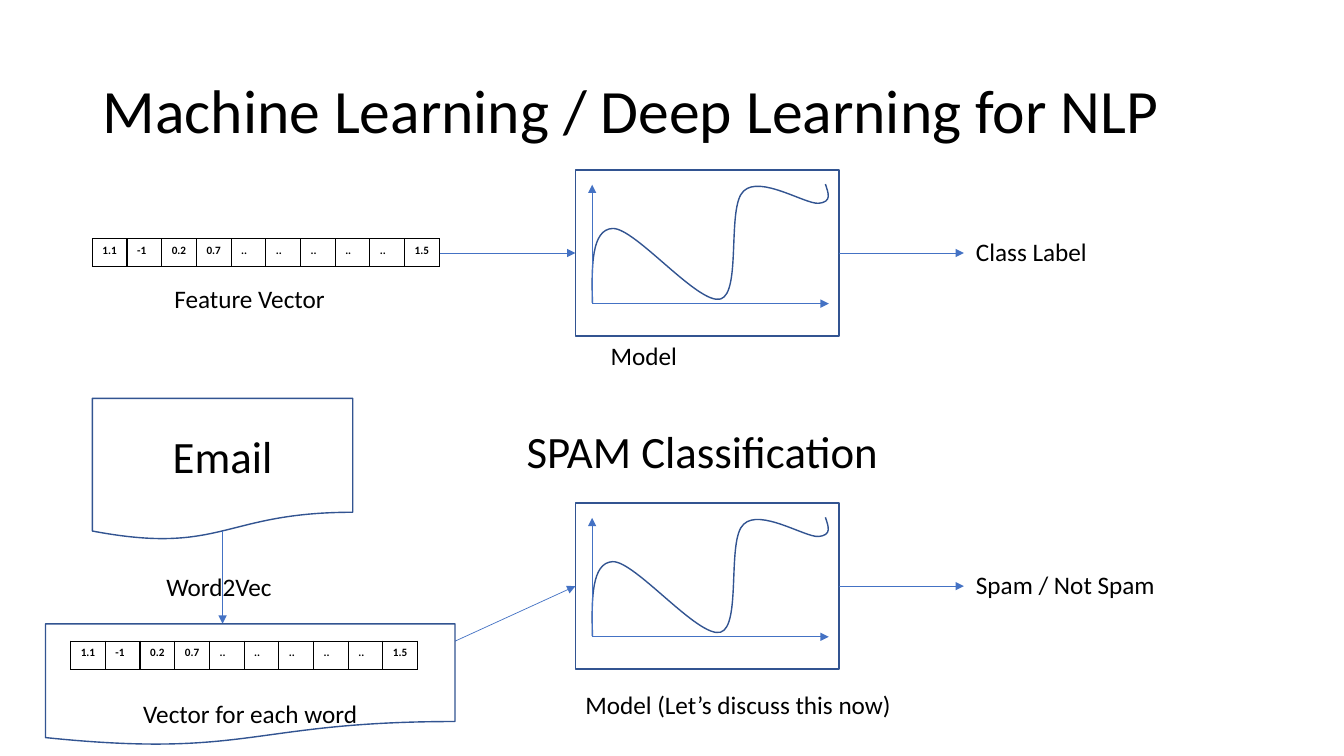
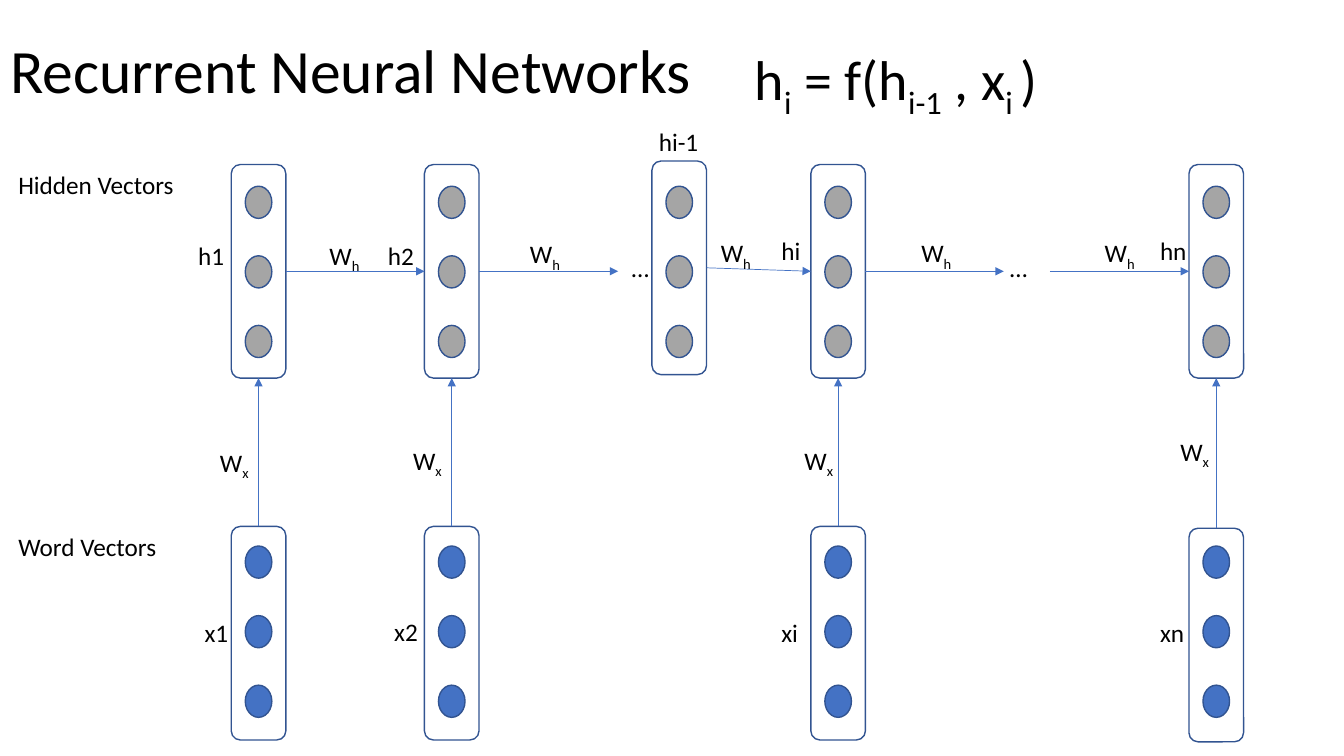
"""Build two slides on machine learning for language and recurrent networks."""
from lxml import etree
from pptx import Presentation
from pptx.dml.color import RGBColor
from pptx.enum.shapes import MSO_CONNECTOR, MSO_SHAPE
from pptx.enum.text import MSO_ANCHOR, PP_ALIGN
from pptx.oxml.ns import qn
from pptx.util import Pt

COLORS = {"ink": "000000", "outline": "325491", "word": "4472C4", "hidden": "A5A5A5"}
FONT = "Calibri"
RECT, ROUND, OVAL = MSO_SHAPE.RECTANGLE, MSO_SHAPE.ROUNDED_RECTANGLE, MSO_SHAPE.OVAL
DOCUMENT = MSO_SHAPE.FLOWCHART_DOCUMENT
STRAIGHT = MSO_CONNECTOR.STRAIGHT
TOP_ANCHOR, MIDDLE = MSO_ANCHOR.TOP, MSO_ANCHOR.MIDDLE
LEFT_ALIGN, CENTER = PP_ALIGN.LEFT, PP_ALIGN.CENTER
TOP, LEFT, BOTTOM, RIGHT = range(4)

VECTOR = ["1.1", "-1", "0.2", "0.7"] + [".."] * 5 + ["1.5"]
CELL_SIZE = (24.8, 20)
GRAPH_SIZE = (188.3, 118.6)
LAYER_SIZE = (39, 152.6)
UNIT_SIZE = (19, 23)
UNIT_PITCH = 49.7
HIDDEN_UNITS_TOP, WORD_UNITS_TOP = 133, 390
CURVE_START = (12.2, 95)
CURVE = [
    [(11.5, 68.4), (11.5, 42.5), (26.6, 41.8)],
    [(42.5, 41), (87.8, 96.5), (103.7, 92.2)],
    [(118.8, 87.8), (108, 25.9), (120.2, 15.1)],
    [(131.8, 3.6), (164.2, 24.5), (173.5, 23.8)],
    [(183.6, 23), (180.7, 16.6), (178.6, 10.1)],
]


def color(name):
    """Return a named colour."""
    return RGBColor.from_string(COLORS[name])


def points(values):
    """Turn numbers into lengths in points."""
    return [Pt(value) for value in values]


def style_font(font, size, bold=False):
    """Apply the shared text style."""
    font.name, font.size, font.bold = FONT, Pt(size), bold
    font.color.rgb = color("ink")


def write(frame, parts, size, align=LEFT_ALIGN):
    """Write runs into the first paragraph, every second one as a subscript."""
    para = frame.paragraphs[0]
    para.alignment = align
    for index, part in enumerate(parts):
        run = para.add_run()
        run.text = part
        style_font(run.font, size)
        if index % 2:
            run._r.get_or_add_rPr().set("baseline", "-25000")
    return para


def add_label(page, box, *parts, size=18, anchor=TOP_ANCHOR):
    """Add a wrapped text box and return its paragraph."""
    frame = page.shapes.add_textbox(*points(box)).text_frame
    frame.word_wrap = True
    frame.vertical_anchor = anchor
    return write(frame, parts, size)


def add_title(page, left, top, text):
    """Add the slide title."""
    para = add_label(page, (left, top, 828, 104.4), text, size=44, anchor=MIDDLE)
    para.line_spacing = 0.9


def outline(shape, fill=None):
    """Give a shape the shared outline and an optional fill."""
    shape.shadow.inherit = False
    shape.line.color.rgb = color("outline")
    shape.line.width = Pt(1)
    if fill:
        shape.fill.solid()
        shape.fill.fore_color.rgb = color(fill)
    else:
        shape.fill.background()


def add_outlined(page, kind, box, fill=None):
    """Add an outlined preset shape."""
    shape = page.shapes.add_shape(kind, *points(box))
    outline(shape, fill)
    return shape


def add_arrow(page, start=(0, 0), end=(0, 0), source=None, target=None):
    """Add an arrow between points, or between (shape, site) joints."""
    arrow = page.shapes.add_connector(STRAIGHT, *points(start + end))
    if source:
        arrow.begin_connect(*source)
    if target:
        arrow.end_connect(*target)
    arrow.line.color.rgb = color("word")
    arrow.line.width = Pt(0.5)
    etree.SubElement(arrow.line._get_or_add_ln(), qn("a:tailEnd"), type="triangle")
    etree.SubElement(arrow._element.spPr, qn("a:effectLst"))


def add_borders(cell):
    """Draw thin borders on all sides of a table cell."""
    properties = cell._tc.get_or_add_tcPr()
    for side in ("lnL", "lnR", "lnT", "lnB"):
        border = etree.SubElement(properties, qn(f"a:{side}"), w=str(Pt(1)))
        fill = etree.SubElement(border, qn("a:solidFill"))
        etree.SubElement(fill, qn("a:srgbClr"), val=COLORS["ink"])


def add_vector(page, left, top):
    """Add a one-row table of vector values."""
    width, height = CELL_SIZE
    box = (left, top, width * len(VECTOR), height)
    table = page.shapes.add_table(1, len(VECTOR), *points(box)).table
    table.first_row = table.horz_banding = False
    table.rows[0].height = Pt(height)
    for index, value in enumerate(VECTOR):
        table.columns[index].width = Pt(width)
        cell = table.cell(0, index)
        add_borders(cell)
        cell.fill.background()
        cell.margin_right = 0
        run = cell.text_frame.paragraphs[0].add_run()
        run.text = value
        style_font(run.font, 8, bold=True)


def add_curve(page, left, top):
    """Draw the function as a chain of cubic curves."""
    def place(corner):
        """Shift a corner to the graph."""
        return Pt(left + corner[0]), Pt(top + corner[1])

    builder = page.shapes.build_freeform(*place(CURVE_START), scale=1.0)
    builder.add_line_segments([place(corners[-1]) for corners in CURVE], close=False)
    shape = builder.convert_to_shape()
    outline(shape)
    segments = list(shape._element.spPr.iter(qn("a:lnTo")))
    for segment, corners in zip(segments, CURVE):
        bend = etree.Element(qn("a:cubicBezTo"))
        for x, y in map(place, corners):
            etree.SubElement(bend, qn("a:pt"), x=str(x - shape.left), y=str(y - shape.top))
        segment.getparent().replace(segment, bend)


def add_model(page, left, top, result):
    """Add a framed function graph with its result, and return the frame."""
    frame = add_outlined(page, RECT, (left, top, *GRAPH_SIZE))
    add_curve(page, left, top)
    origin = (left + 12, top + 95.5)
    add_arrow(page, origin, (left + 12, top + 10.5))
    add_arrow(page, origin, (left + 181, top + 95.5))
    add_arrow(page, end=(left + 277.5, top + GRAPH_SIZE[1] / 2), source=(frame, RIGHT))
    add_label(page, (left + 279, top + 44, 146, 29), result)
    return frame


def add_layer(page, left, top, units_top, fill):
    """Add a rounded column holding three units."""
    layer = add_outlined(page, ROUND, (left, top, *LAYER_SIZE))
    inset = (LAYER_SIZE[0] - UNIT_SIZE[0]) / 2
    for index in range(3):
        unit_box = (left + inset, units_top + index * UNIT_PITCH, *UNIT_SIZE)
        add_outlined(page, OVAL, unit_box, fill)
    return layer


def add_document(page, box, text, size, anchor=MIDDLE):
    """Add a document shape with centred text and return its text frame."""
    frame = add_outlined(page, DOCUMENT, box).text_frame
    frame.word_wrap = True
    frame.vertical_anchor = anchor
    write(frame, [text], size, CENTER)
    return frame


def build_pipeline(page):
    """Show how features become a class label, then the spam example."""
    add_title(page, 66.2, 29, "Machine Learning / Deep Learning for NLP")
    add_vector(page, 66, 170.5)
    add_label(page, (117.5, 199, 196, 29), "Feature Vector")
    general = add_model(page, 411, 121.4, "Class Label")
    add_arrow(page, start=(314, 180.7), target=(general, LEFT))
    add_label(page, (429, 239.5, 151, 30), "Model")

    add_label(page, (369, 299, 348, 46), "SPAM Classification", size=32)
    spam = add_model(page, 411, 359.4, "Spam / Not Spam")
    add_label(page, (411, 489, 260, 29), "Model (Let’s discuss this now)")
    add_document(page, (66, 284.5, 186, 101.5), "Email", 32)
    add_arrow(page, (159, 379.5), (159, 445.5))
    add_label(page, (111.7, 404.5, 96, 29), "Word2Vec")
    add_vector(page, 50.5, 458)
    add_arrow(page, start=(325, 458), target=(spam, LEFT))
    words = add_document(page, (32.5, 445.6, 292.5, 87), "Vector for each word", 18,
                         TOP_ANCHOR)
    words.margin_top, words.margin_bottom = Pt(53.5), 0


def build_network(page):
    """Show a recurrent network unrolled over its words."""
    add_title(page, 0.2, 0, "Recurrent Neural Networks")
    add_label(page, (532, 28.5, 404, 55),
              "h", "i", " = f(h", "i-1", " , x", "i ", ")", size=40)
    add_label(page, (6, 117.5, 138, 29), "Hidden Vectors")
    add_label(page, (6, 376, 138, 29), "Word Vectors")

    hidden = {}
    for name, left, word_top in (
            ("1", 165.2, 376), ("2", 303.2, 376), ("i", 579.2, 376), ("n", 849.3, 377.3)):
        hidden[name] = add_layer(page, left, 117.5, HIDDEN_UNITS_TOP, "hidden")
        word = add_layer(page, left, word_top, WORD_UNITS_TOP, "word")
        add_arrow(page, source=(word, TOP), target=(hidden[name], BOTTOM))
    hidden["i-1"] = add_layer(page, 465.7, 115, HIDDEN_UNITS_TOP, "hidden")

    add_arrow(page, source=(hidden["1"], RIGHT), target=(hidden["2"], LEFT))
    add_arrow(page, end=(441.5, 193.8), source=(hidden["2"], RIGHT))
    add_arrow(page, source=(hidden["i-1"], RIGHT), target=(hidden["i"], LEFT))
    add_arrow(page, end=(717, 193.8), source=(hidden["i"], RIGHT))
    add_arrow(page, start=(750, 193.8), target=(hidden["n"], LEFT))

    for text, left, top in (
            ("x1", 139, 437.3), ("x2", 274.5, 437), ("xi", 551, 437.5), ("xn", 821.5, 437.5),
            ("h1", 134.5, 168.2), ("h2", 270, 168.2), ("hi", 551, 164.6),
            ("hn", 821.5, 164.6), ("hi-1", 463.5, 86.5),
            ("…", 444, 176.5), ("…", 714.3, 176.5)):
        add_label(page, (left, top, 68, 29), text)
    for subscript, left, top in (
            ("x", 150, 315.6), ("x", 288, 314.5), ("x", 567.5, 314.5), ("x", 836, 308),
            ("h", 228.2, 168), ("h", 371.5, 167), ("h", 507.8, 166.2),
            ("h", 651, 166.2), ("h", 782, 166.2)):
        add_label(page, (left, top, 80, 29), "W", subscript)


def main():
    """Build and save the deck."""
    deck = Presentation()
    deck.slide_width, deck.slide_height = Pt(960), Pt(540)
    for build in (build_pipeline, build_network):
        build(deck.slides.add_slide(deck.slide_layouts[6]))
    deck.save("out.pptx")


if __name__ == "__main__":
    main()
